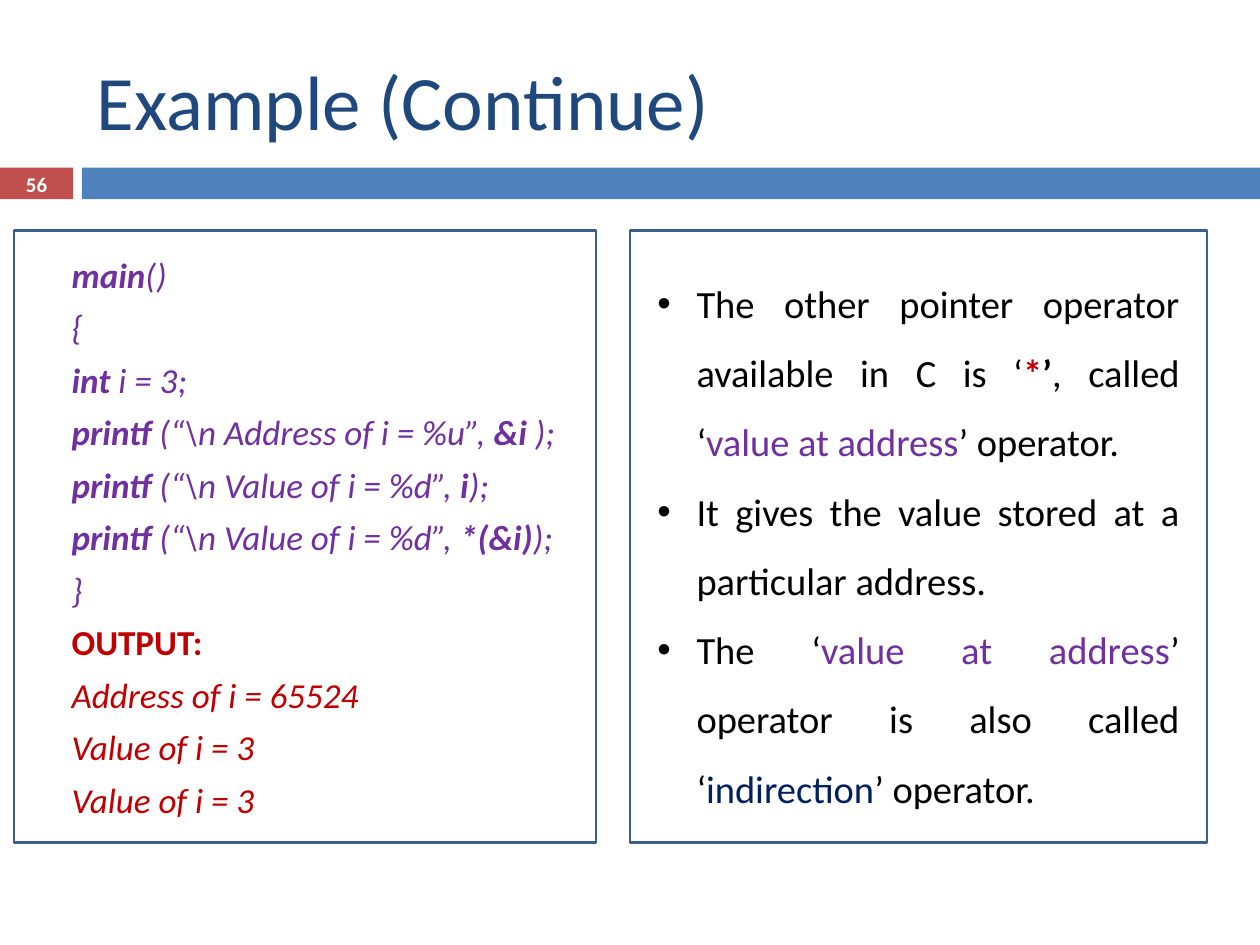
from lxml import etree
from pptx import Presentation
from pptx import util as u
from pptx.dml.color import RGBColor
from pptx.enum import shapes, text
from pptx.oxml.ns import qn

WHITE = RGBColor(0xFF, 0xFF, 0xFF)
BLACK = RGBColor(0x00, 0x00, 0x00)
RED = RGBColor(0xC0, 0x50, 0x4D)
BLUE = RGBColor(0x4F, 0x81, 0xBD)
FRAME = RGBColor(0x3A, 0x5F, 0x8C)
TITLE = RGBColor(0x1F, 0x49, 0x7D)
PURPLE = RGBColor(0x70, 0x30, 0xA0)
CRIMSON = RGBColor(0xC0, 0x00, 0x00)
NAVY = RGBColor(0x00, 0x20, 0x60)

CODE = [
    [("main", True), ("()", False)],
    [("{", False)],
    [("int", True), (" i = 3;", False)],
    [("printf", True), (" (“\\n Address of i = %u”, ", False), ("&i", True), (" );", False)],
    [("printf", True), (" (“\\n Value of i = %d”, ", False), ("i", True), (");", False)],
    [("printf", True), (" (“\\n Value of i = %d”, ", False), ("*(&i)", True), (");", False)],
    [("}", False)],
]
OUTPUT = ["Address of i = 65524", "Value of i = 3", "Value of i = 3"]
NOTES = [
    [("The other pointer operator available in C is ‘", BLACK, False),
     ("*", CRIMSON, True), ("’", BLACK, True), (", called ‘", BLACK, False),
     ("value at address", PURPLE, False), ("’ operator.", BLACK, False)],
    [("It gives the value stored at a particular address.", BLACK, False)],
    [("The ‘", BLACK, False), ("value at address", PURPLE, False),
     ("’ operator is also called ‘", BLACK, False),
     ("indirection", NAVY, False), ("’ operator.", BLACK, False)],
]


class SlideBuilder:
    """Holds the font and the current slide, and adds each kind of element."""

    def __init__(self, slide, font="Calibri"):
        self.slide = slide
        self.font = font

    def rectangle(self, left, top, width, height, fill=None, line=None):
        box = self.slide.shapes.add_shape(
            shapes.MSO_SHAPE.RECTANGLE,
            u.Inches(left), u.Inches(top), u.Inches(width), u.Inches(height))
        box.shadow.inherit = False
        if fill is None:
            box.fill.background()
        else:
            box.fill.solid()
            box.fill.fore_color.rgb = fill
        if line is None:
            box.line.fill.background()
        else:
            box.line.color.rgb = line
            box.line.width = u.Pt(1.5)

    def text(self, left, top, width, height, paragraphs, size,
             anchor=text.MSO_ANCHOR.TOP, align=text.PP_ALIGN.LEFT,
             spacing=1.0, after=0, indent=0, bullet=None):
        box = self.slide.shapes.add_textbox(
            u.Inches(left), u.Inches(top), u.Inches(width), u.Inches(height))
        frame = box.text_frame
        frame.word_wrap = True
        frame.vertical_anchor = anchor
        for index, spans in enumerate(paragraphs):
            para = frame.add_paragraph() if index else frame.paragraphs[0]
            para.alignment = align
            para.line_spacing = spacing
            para.space_after = u.Pt(after)
            if bullet:
                self.bullet(para, bullet, indent)
            for words, color, bold, italic in spans:
                span = para.add_run()
                span.text = words
                span.font.name = self.font
                span.font.size = u.Pt(size)
                span.font.color.rgb = color
                span.font.bold = bold
                span.font.italic = italic

    def bullet(self, para, symbol, indent):
        properties = para._p.get_or_add_pPr()
        properties.set("marL", str(u.Inches(indent)))
        properties.set("indent", str(-u.Inches(indent)))
        etree.SubElement(properties, qn("a:buFont"), typeface="Arial")
        etree.SubElement(properties, qn("a:buChar"), char=symbol)


def main():
    deck = Presentation()
    deck.slide_width, deck.slide_height = u.Inches(10), u.Inches(7.5)
    page = SlideBuilder(deck.slides.add_slide(deck.slide_layouts[6]))

    page.rectangle(0, 1.33, 0.58, 0.25, fill=RED)
    page.rectangle(0.65, 1.33, 9.35, 0.25, fill=BLUE)
    page.rectangle(0.11, 1.83, 4.62, 4.86, line=FRAME)
    page.rectangle(5, 1.83, 4.58, 4.86, line=FRAME)

    middle = text.MSO_ANCHOR.MIDDLE
    page.text(0.67, 0.25, 8.92, 1.08,
              [[("Example (Continue)", TITLE, False, False)]], 44, anchor=middle)
    page.text(0, 1.33, 0.58, 0.27, [[("56", WHITE, True, False)]], 11.9,
              anchor=middle, align=text.PP_ALIGN.CENTER)

    listing = [[(words, PURPLE, bold, True) for words, bold in line] for line in CODE]
    listing.append([("OUTPUT:", CRIMSON, True, False)])
    listing += [[(line, CRIMSON, False, True)] for line in OUTPUT]
    page.text(0.47, 1.96, 4.78, 4.7, listing, 20, after=6)

    notes = [[(*span, False) for span in spans] for spans in NOTES]
    page.text(5.12, 1.99, 4.34, 4.54, notes, 22, align=text.PP_ALIGN.JUSTIFY,
              spacing=1.5, indent=0.31, bullet="•")

    deck.save("out.pptx")


if __name__ == "__main__":
    main()
